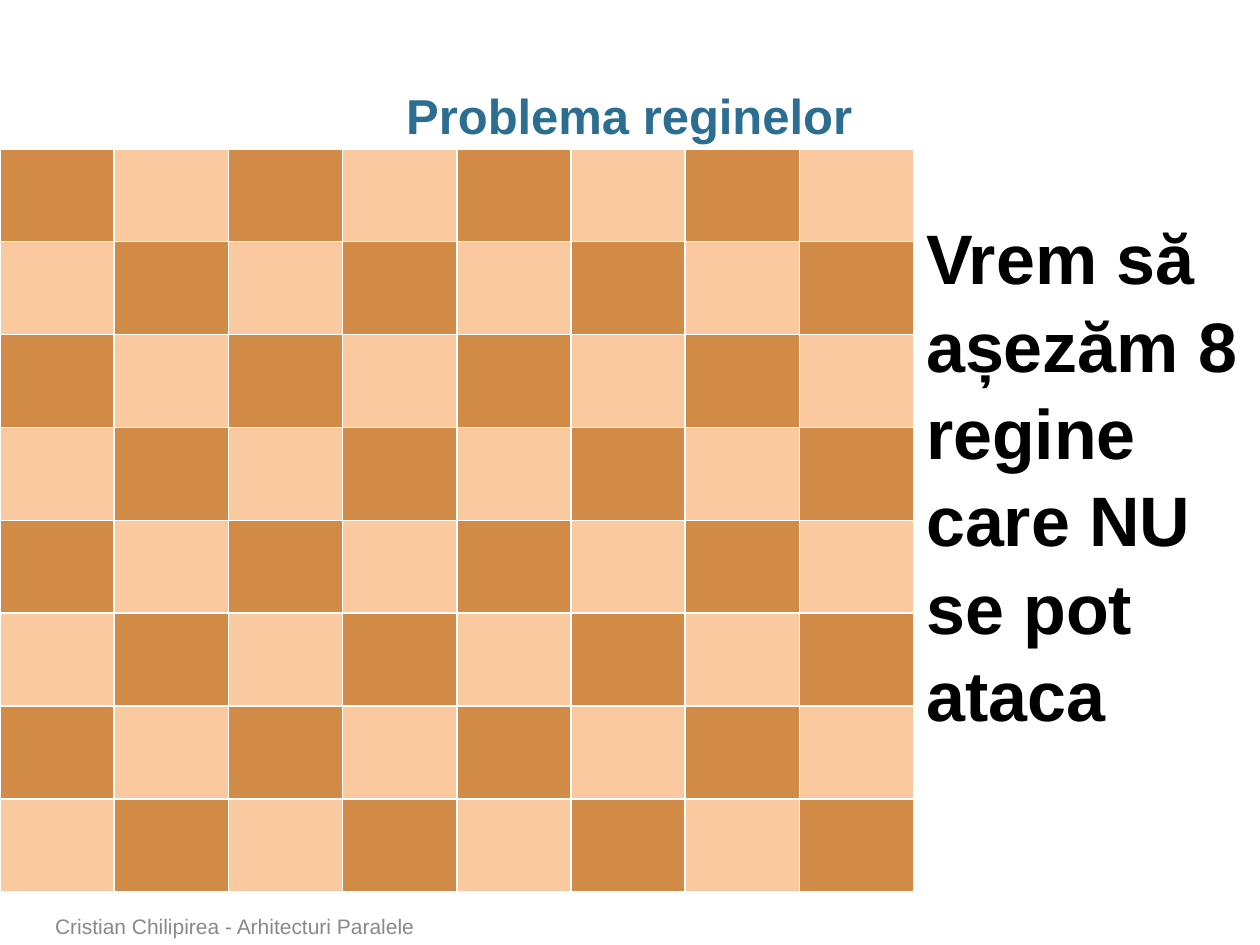
"""Build a slide with a chessboard for the eight queens problem."""
import pptx
import pptx.dml.color
import pptx.enum.text
import pptx.oxml
import pptx.oxml.ns
import pptx.util

Cm = pptx.util.Cm
ANCHOR = pptx.enum.text.MSO_ANCHOR
ALIGN = pptx.enum.text.PP_ALIGN
COLORS = {
    "title": "2C6D92",
    "footer": "898989",
    "body": "000000",
    "dark": "D18B47",
    "light": "FBC99F",
    "border": "FFFFFF",
}
SQUARES = 8


def add_text(slide, text, *, left, top, width, height, size, color, bold=False,
             align=ALIGN.LEFT, anchor=ANCHOR.TOP, spacing=1.0, side_margin=0.25):
    shape = slide.shapes.add_textbox(Cm(left), Cm(top), Cm(width), Cm(height))
    frame = shape.text_frame
    frame.word_wrap = True
    frame.vertical_anchor = anchor
    frame.margin_left = frame.margin_right = Cm(side_margin)
    paragraph = frame.paragraphs[0]
    paragraph.alignment = align
    paragraph.line_spacing = spacing
    run = paragraph.add_run()
    run.text = text
    run.font.name = "Arial"
    run.font.size = pptx.util.Pt(size)
    run.font.bold = bold
    run.font.color.rgb = pptx.dml.color.RGBColor.from_string(COLORS[color])
    return shape


def style_square(cell, color):
    properties = cell._tc.get_or_add_tcPr()
    for side in ("lnL", "lnR", "lnT", "lnB"):
        properties.append(pptx.oxml.parse_xml(
            f'<a:{side} {pptx.oxml.ns.nsdecls("a")} w="12700"><a:solidFill>'
            f'<a:srgbClr val="{COLORS["border"]}"/></a:solidFill></a:{side}>'))
    cell.fill.solid()
    cell.fill.fore_color.rgb = pptx.dml.color.RGBColor.from_string(COLORS[color])


presentation = pptx.Presentation()
presentation.slide_width = Cm(25.4)
presentation.slide_height = Cm(19.05)
slide = presentation.slides.add_slide(presentation.slide_layouts[6])

add_text(slide, "Problema reginelor", left=0.86, top=1.73, width=23.65, height=1.27,
         size=28, color="title", bold=True, align=ALIGN.CENTER,
         anchor=ANCHOR.MIDDLE, spacing=0.95, side_margin=0)
add_text(slide, "Cristian Chilipirea - Arhitecturi Paralele", left=0.86, top=18.34,
         width=18.72, height=0.71, size=12, color="footer", anchor=ANCHOR.BOTTOM)

board = slide.shapes.add_table(SQUARES, SQUARES, Cm(0), Cm(3), Cm(18.42), Cm(14.98)).table
board.first_row = False
board.horz_banding = False
for row in range(SQUARES):
    for column in range(SQUARES):
        style_square(board.cell(row, column), "light" if (row + column) % 2 else "dark")

explanation = add_text(slide, "Vrem să așezăm 8 regine care NU se pot ataca", left=18.42,
                       top=4.14, width=6.98, height=10.52, size=40, color="body",
                       bold=True, spacing=1.04)
explanation.text_frame.auto_size = pptx.enum.text.MSO_AUTO_SIZE.SHAPE_TO_FIT_TEXT

presentation.save("out.pptx")
